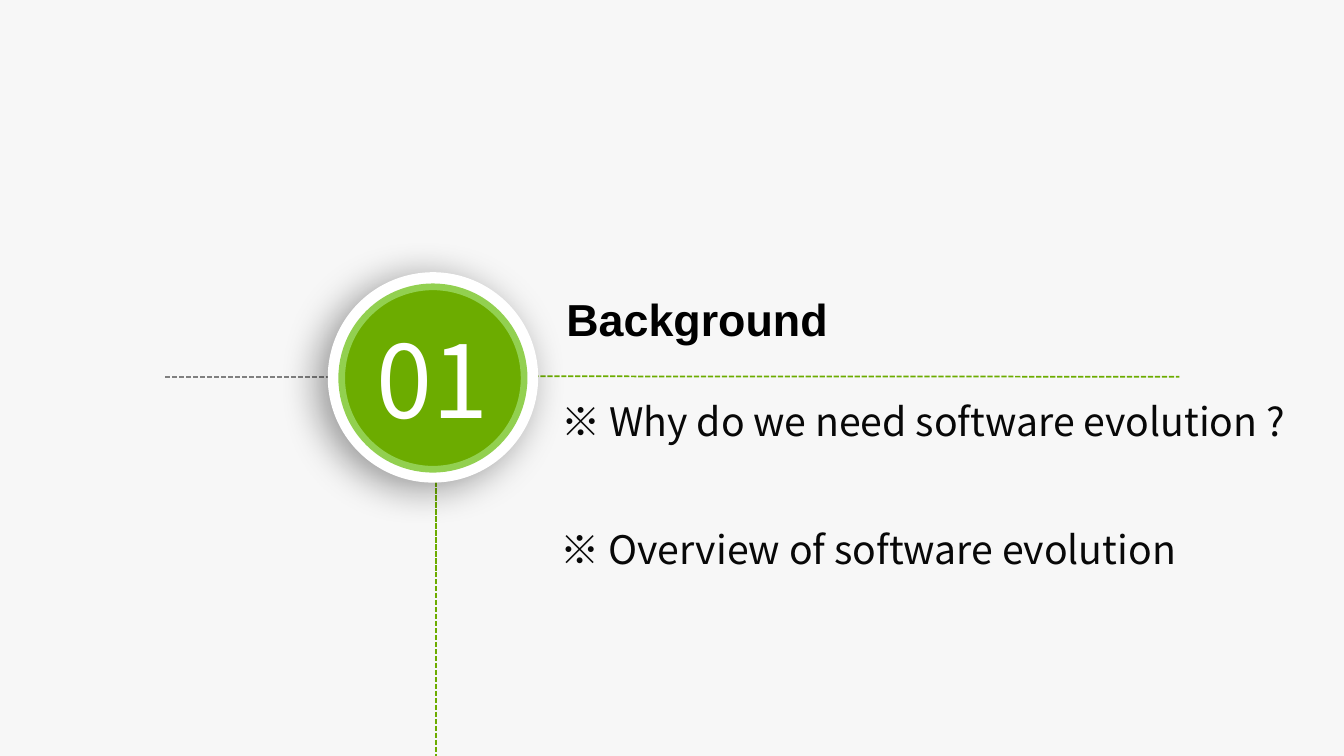
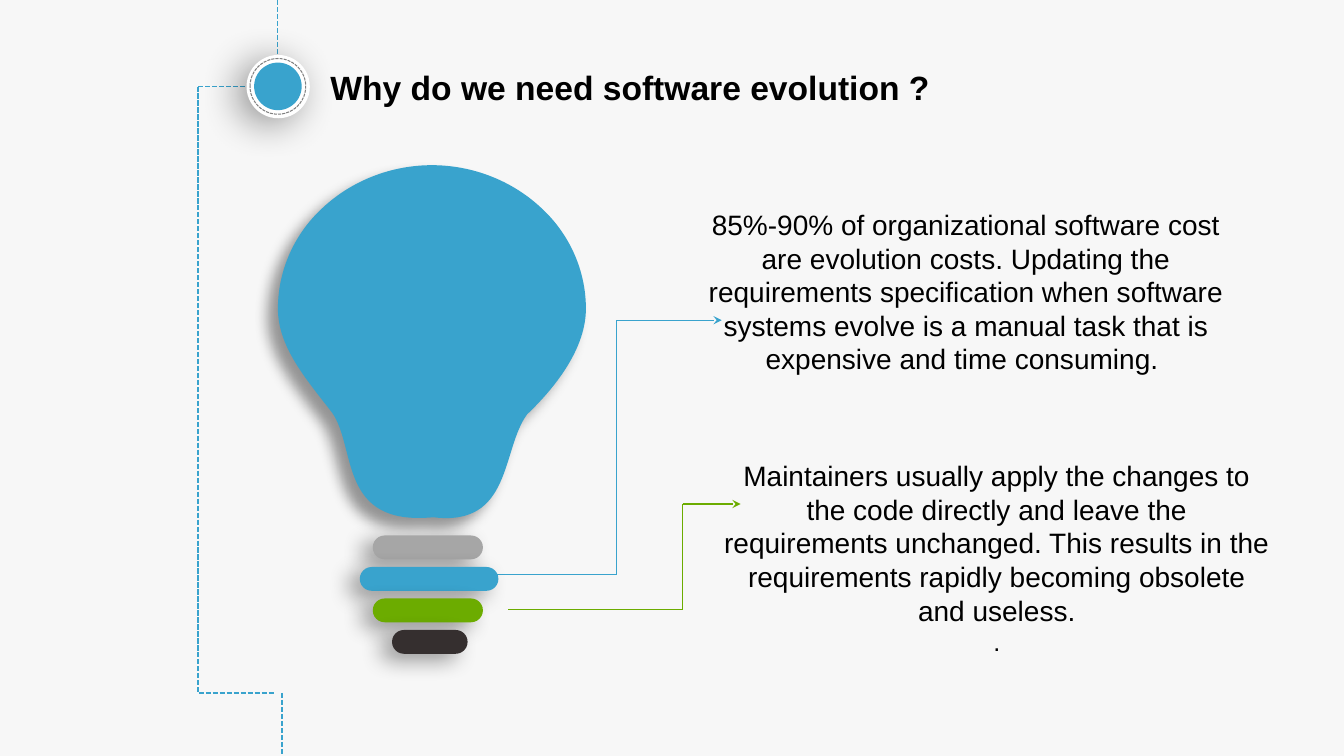
"""Build a section opener and a light-bulb slide about software evolution."""
from lxml.etree import SubElement
from pptx import Presentation
from pptx.dml.color import RGBColor
from pptx.enum.dml import MSO_LINE
from pptx.enum.shapes import MSO_CONNECTOR, MSO_SHAPE
from pptx.enum.text import MSO_ANCHOR, PP_ALIGN
from pptx.oxml.ns import qn
from pptx.util import Pt

BACKDROP = RGBColor(0xF7, 0xF7, 0xF7)
WHITE = RGBColor(0xFF, 0xFF, 0xFF)
BLACK = RGBColor(0, 0, 0)
INK = RGBColor(0x08, 0x08, 0x08)
GREEN = RGBColor(0x6C, 0xAC, 0x00)
LIGHT_GREEN = RGBColor(0x92, 0xD0, 0x50)
BLUE = RGBColor(0x39, 0xA3, 0xCD)
GREY = RGBColor(0x80, 0x80, 0x80)
SILVER = RGBColor(0xA6, 0xA6, 0xA6)
CHARCOAL = RGBColor(0x35, 0x2F, 0x2F)

ARIAL = "Arial"
NUMBER_FONT = "Noto Sans CJK JP"
LIST_FONT = "Noto Sans CJK SC"
LEFT, CENTER = PP_ALIGN.LEFT, PP_ALIGN.CENTER
TOP, MIDDLE = MSO_ANCHOR.TOP, MSO_ANCHOR.MIDDLE

DISC_SHADOW = (28, 8, 150)
BULB_SHADOW = (10, 10, 140)
BAR_SHADOW = (16, 9, 150)


def style(shape, fill=None, shadow=None):
    """Set the fill, drop the outline and cast a soft shadow if one is given."""
    shape.shadow.inherit = False
    shape.line.fill.background()
    if fill is None:
        shape.fill.background()
    else:
        shape.fill.solid()
        shape.fill.fore_color.rgb = fill
    if shadow:
        blur, distance, angle = shadow
        effects = shape._element.spPr.find(qn("a:effectLst"))
        outer = SubElement(effects, qn("a:outerShdw"), blurRad=str(Pt(blur)),
                           dist=str(Pt(distance)), dir=str(angle * 60000),
                           algn="ctr", rotWithShape="0")
        color = SubElement(outer, qn("a:srgbClr"), val="000000")
        SubElement(color, qn("a:alpha"), val="40000")


deck = Presentation()
deck.slide_width, deck.slide_height = Pt(960), Pt(540)
opener, reasons = [deck.slides.add_slide(deck.slide_layouts[6]) for _ in range(2)]
for page in (opener, reasons):
    page.background.fill.solid()
    page.background.fill.fore_color.rgb = BACKDROP

dashed_lines = [
    (opener, 311.2, 304, 311.2, 540, GREEN),
    (opener, 361, 268.8, 842.5, 269.1, GREEN),
    (opener, 118, 269.3, 260, 269.3, GREY),
    (reasons, 141.6, 61.8, 201.5, 61.8, BLUE),
    (reasons, 198.2, 0, 198.2, 60, BLUE),
    (reasons, 141.6, 61.8, 141.6, 495, BLUE),
    (reasons, 142, 495, 196.5, 495, BLUE),
    (reasons, 201.5, 495, 201.5, 540, BLUE),
]
callouts = [
    (BLUE, [(355, 410.5), (440.5, 410.5), (440.5, 228.7), (515.5, 228.7)]),
    (GREEN, [(363, 435.7), (487.7, 435.7), (487.7, 360), (529, 360)]),
]
lines = [(*line, 1.25, True, False) for line in dashed_lines]
for color, corners in callouts:
    for start, end in zip(corners, corners[1:]):
        lines.append((reasons, *start, *end, color, 0.75, False, end == corners[-1]))

for page, x1, y1, x2, y2, color, width, dashed, arrow in lines:
    connector = page.shapes.add_connector(
        MSO_CONNECTOR.STRAIGHT, Pt(x1), Pt(y1), Pt(x2), Pt(y2))
    connector.line.color.rgb = color
    connector.line.width = Pt(width)
    if dashed:
        connector.line.dash_style = MSO_LINE.SQUARE_DOT
    properties = connector._element.spPr
    if arrow:
        SubElement(properties.find(qn("a:ln")), qn("a:tailEnd"), type="stealth")
    SubElement(properties, qn("a:effectLst"))

discs = [
    (opener, 309.3, 269.6, 150.3, WHITE, None, DISC_SHADOW),
    (opener, 309.2, 270, 130.3, GREEN, (LIGHT_GREEN, 4.75, None), None),
    (reasons, 198.7, 61.9, 45.2, WHITE, None, DISC_SHADOW),
    (reasons, 198.5, 61.7, 34, BLUE, None, None),
    (reasons, 198.5, 61.7, 39.8, None, (GREY, 0.75, MSO_LINE.SQUARE_DOT), None),
]
for page, x, y, size, fill, outline, shadow in discs:
    disc = page.shapes.add_shape(MSO_SHAPE.OVAL, Pt(x - size / 2), Pt(y - size / 2),
                                 Pt(size), Pt(size))
    style(disc, fill, shadow)
    if outline:
        color, width, dash = outline
        disc.line.color.rgb = color
        disc.line.width = Pt(width)
        disc.line.dash_style = dash

bulb_start = (198.5, 220.5)
bulb_curves = [
    ((198.5, 193.5), (210, 167), (231, 148)),
    ((251.5, 129), (279.5, 118), (308.5, 118)),
    ((337.5, 118), (365.5, 129), (386, 148)),
    ((407, 167), (418.5, 193.5), (418.5, 220.5)),
    ((418.5, 247.5), (399, 274.5), (376.5, 296)),
    ((358, 321), (366, 376.5), (309.5, 369.5)),
    ((241, 376), (255, 319.5), (237, 294.5)),
    ((218, 270), (198.5, 247.5), bulb_start),
]
builder = reasons.shapes.build_freeform(Pt(bulb_start[0]), Pt(bulb_start[1]))
builder.add_line_segments([(Pt(x), Pt(y)) for _, _, (x, y) in bulb_curves], close=True)
bulb = builder.convert_to_shape()
style(bulb, BLUE, BULB_SHADOW)
segments = list(bulb._element.iter(qn("a:lnTo")))
for segment, curve in zip(segments, bulb_curves):
    bezier = segment.makeelement(qn("a:cubicBezTo"))
    for x, y in curve:
        SubElement(bezier, qn("a:pt"), x=str(Pt(x) - bulb.left), y=str(Pt(y) - bulb.top))
    segment.getparent().replace(segment, bezier)

bars = [(266.3, 78.7, SILVER), (257, 99, BLUE), (266.3, 78.7, GREEN), (280, 54, CHARCOAL)]
for index, (x, width, color) in enumerate(bars):
    bar = reasons.shapes.add_shape(MSO_SHAPE.ROUNDED_RECTANGLE, Pt(x),
                                   Pt(382.5 + 22.5 * index), Pt(width), Pt(17))
    bar.adjustments[0] = 0.5
    style(bar, color, BAR_SHADOW)

texts = [
    (opener, 263, 227, 92, 86, 0, MIDDLE, CENTER, NUMBER_FONT, WHITE, False,
     [("01", 72)]),
    (opener, 401, 206, 388, 43, 3.6, MIDDLE, LEFT, ARIAL, BLACK, True,
     [("Background", 32)]),
    (opener, 399.2, 281.5, 533.5, 78.5, 2, TOP, LEFT, LIST_FONT, INK, False,
     [("※ Why do we need software evolution ?", 28)]),
    (opener, 398.5, 373, 500, 42, 2, TOP, LEFT, LIST_FONT, INK, False,
     [("※ Overview of software evolution", 28)]),
    (reasons, 232.5, 44.5, 593, 35, 3.6, MIDDLE, LEFT, ARIAL, BLACK, True,
     [("Why do we need software evolution ?", 24)]),
    (reasons, 490.5, 144.7, 399, 122, 3.6, TOP, CENTER, ARIAL, BLACK, False,
     [("85%-90% of organizational software cost are evolution costs. Updating the "
       "requirements specification when software systems evolve is a manual task "
       "that is expensive and time consuming. ", 20)]),
    (reasons, 512.5, 324, 399, 142.5, 3.6, TOP, CENTER, ARIAL, BLACK, False,
     [("Maintainers usually apply the changes to the code directly and leave the "
       "requirements unchanged. This results in the requirements rapidly becoming "
       "obsolete and useless.", 20), (".", 18)]),
]
for (page, x, y, width, height, inset, anchor, align, font, color, bold,
     paragraphs) in texts:
    box = page.shapes.add_textbox(Pt(x), Pt(y), Pt(width), Pt(height))
    frame = box.text_frame
    frame.word_wrap = True
    frame.vertical_anchor = anchor
    frame.margin_left = frame.margin_right = Pt(inset)
    frame.margin_top = frame.margin_bottom = Pt(inset)
    for index, (words, size) in enumerate(paragraphs):
        para = frame.add_paragraph() if index else frame.paragraphs[0]
        para.alignment = align
        span = para.add_run()
        span.text = words
        span.font.size = Pt(size)
        span.font.bold = bold
        span.font.color.rgb = color
        span.font.name = font
        SubElement(span.font._element, qn("a:ea"), typeface=font)

deck.save("out.pptx")
